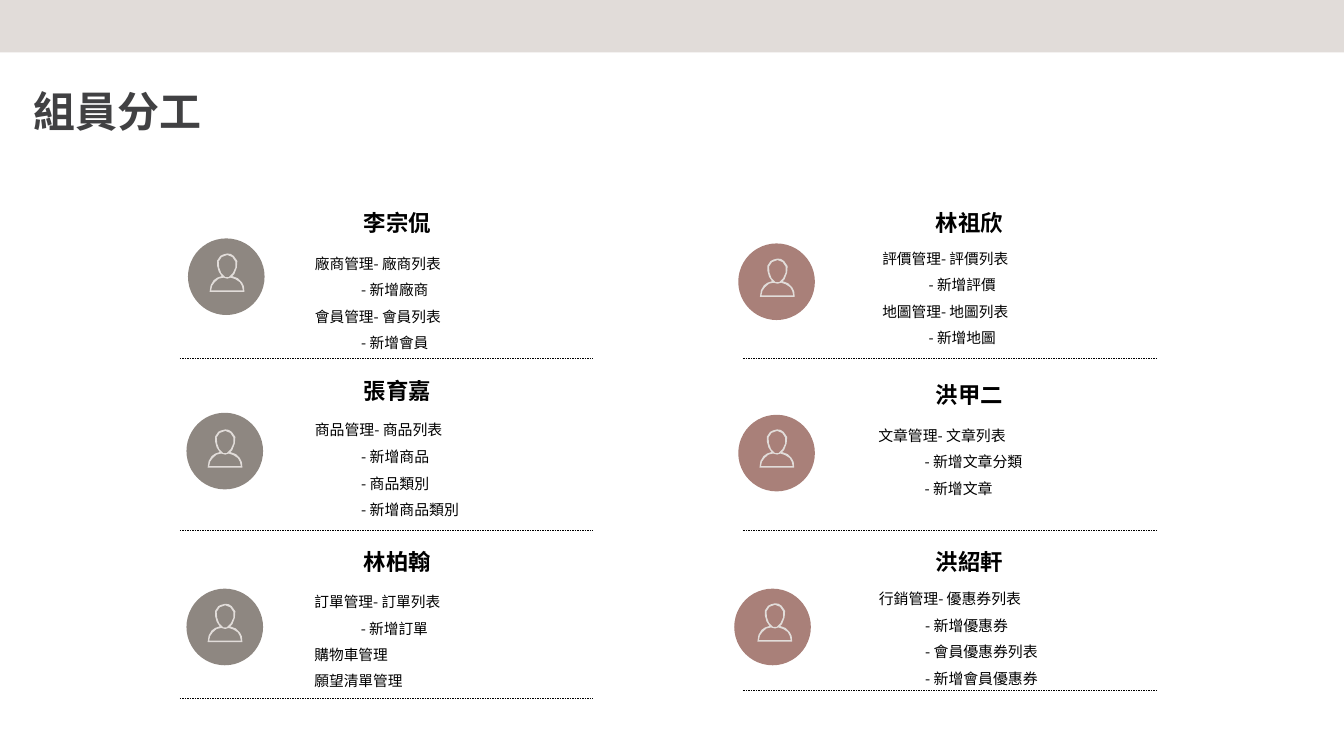
from dataclasses import dataclass

from lxml.etree import SubElement
from pptx import Presentation
from pptx.dml.color import RGBColor
from pptx.enum.dml import MSO_LINE
from pptx.enum.shapes import MSO_CONNECTOR, MSO_SHAPE
from pptx.enum.text import MSO_ANCHOR, PP_ALIGN as Align
from pptx.oxml.ns import qn
from pptx.shapes.autoshape import Shape
from pptx.slide import Slide
from pptx.text.text import _Paragraph as Paragraph
from pptx.util import Inches, Pt


@dataclass(frozen=True)
class Theme:
    band: str = "E1DCD9"
    title: str = "414143"
    text: str = "000000"
    taupe: str = "8E8781"
    rose: str = "A98079"
    title_font: str = "Arial"
    name_font: str = "Roboto Condensed"
    cjk_font: str = "Noto Sans CJK SC"
    title_size: float = 60
    name_size: float = 32
    task_size: float = 21
    large_task_size: float = 21.3
    rule_width: float = 0.5


@dataclass(frozen=True)
class Column:
    color: str
    name_left: float
    rule_left: float


@dataclass(frozen=True)
class Member:
    """Tasks that start with a dash are indented below the one before."""
    name: str
    tasks: tuple[str, ...]
    column: Column
    name_top: float
    tasks_at: tuple[float, float]
    avatar_at: tuple[float, float]
    icon_at: tuple[float, float]
    rule_top: float
    task_size: float


THEME = Theme()
LEFT = Column(THEME.taupe, 6.15, 3.57)
RIGHT = Column(THEME.rose, 17.5, 14.75)
AVATAR_SIZE = 1.52
RULE_LENGTH = 8.2
TASK_INDENT = 0.92

MEMBERS = [
    Member("李宗侃", ("廠商管理- 廠商列表", "- 新增廠商", "會員管理- 會員列表", "- 新增會員"),
           LEFT, 4.11, (6.15, 4.83), (3.73, 4.73), (4.16, 5.03), 7.1, THEME.task_size),
    Member("張育嘉", ("商品管理- 商品列表", "- 新增商品", "- 商品類別", "- 新增商品類別"),
           LEFT, 7.43, (6.15, 8.12), (3.7, 8.19), (4.12, 8.52), 10.51, THEME.large_task_size),
    Member("林柏翰", ("訂單管理- 訂單列表", "- 新增訂單", "購物車管理", "願望清單管理"),
           LEFT, 10.83, (6.14, 11.54), (3.7, 11.68), (4.12, 11.98), 13.86, THEME.task_size),
    Member("林祖欣", ("評價管理- 評價列表", "- 新增評價", "地圖管理- 地圖列表", "- 新增地圖"),
           RIGHT, 4.09, (17.41, 4.73), (14.65, 4.83), (15.08, 5.13), 7.1, THEME.task_size),
    Member("洪甲二", ("文章管理- 文章列表", "- 新增文章分類", "- 新增文章"),
           RIGHT, 7.52, (17.33, 8.23), (14.65, 8.23), (15.07, 8.52), 10.51, THEME.large_task_size),
    Member("洪紹軒", ("行銷管理- 優惠券列表", "- 新增優惠券", "- 會員優惠券列表", "- 新增會員優惠券"),
           RIGHT, 10.83, (17.34, 11.47), (14.57, 11.68), (15.03, 11.97), 13.7, THEME.large_task_size),
]

# Corners in hundredths of an inch: the silhouette, then the hollow head and shoulders.
PERSON_CONTOURS = [
    [(35, 0), (27, 2), (21, 5), (15, 14), (15, 25), (18, 36), (24, 45), (15, 48), (8, 53),
     (2, 63), (0, 76), (69, 76), (68, 65), (64, 57), (56, 49), (45, 45), (49, 41), (54, 28),
     (55, 15), (48, 5), (42, 1)],
    [(35, 3), (45, 7), (51, 16), (51, 28), (46, 39), (38, 47), (31, 47), (23, 39),
     (19, 28), (18, 16), (24, 7)],
    [(27, 48), (35, 50), (42, 48), (51, 51), (60, 57), (64, 64), (66, 73), (3, 73),
     (5, 64), (10, 57), (18, 50)],
]


def paint(shape: Shape, color: str) -> None:
    shape.shadow.inherit = False
    shape.fill.solid()
    shape.fill.fore_color.rgb = RGBColor.from_string(color)
    shape.line.fill.background()


def add_filled(slide: Slide, preset: MSO_SHAPE, left: float, top: float,
               width: float, height: float, color: str) -> None:
    shape = slide.shapes.add_shape(preset, Inches(left), Inches(top), Inches(width), Inches(height))
    paint(shape, color)


def add_person_icon(slide: Slide, left: float, top: float) -> None:
    outline, *holes = PERSON_CONTOURS
    builder = slide.shapes.build_freeform(*outline[0], scale=Inches(0.01))
    builder.add_line_segments(outline[1:])
    for hole in holes:
        builder.move_to(*hole[0])
        builder.add_line_segments(hole[1:])
    paint(builder.convert_to_shape(Inches(left), Inches(top)), THEME.band)


def add_rule(slide: Slide, left: float, top: float) -> None:
    rule = slide.shapes.add_connector(MSO_CONNECTOR.STRAIGHT, Inches(left), Inches(top),
                                      Inches(left + RULE_LENGTH), Inches(top))
    rule.line.width = Pt(THEME.rule_width)
    rule.line.color.rgb = RGBColor.from_string(THEME.text)
    rule.line.dash_style = MSO_LINE.DASH
    SubElement(rule._element.spPr, qn("a:effectLst"))


def format_runs(paragraph: Paragraph, size: float, font: str, color: str, bold: bool = False) -> None:
    for run in paragraph.runs:
        run.font.size, run.font.name, run.font.bold = Pt(size), font, bold
        run.font.color.rgb = RGBColor.from_string(color)
        SubElement(run.font._element, qn("a:ea"), typeface=THEME.cjk_font)


def add_text(slide: Slide, left: float, top: float, width: float, height: float, text: str) -> Shape:
    box = slide.shapes.add_textbox(Inches(left), Inches(top), Inches(width), Inches(height))
    box.text_frame.word_wrap = True
    box.text_frame.text = text
    return box


def add_title(slide: Slide, text: str) -> None:
    title = slide.shapes.title
    title.left, title.top, title.width, title.height = map(Inches, (0.62, 1.45, 7.64, 1.73))
    frame = title.text_frame
    frame.margin_left = frame.margin_top = frame.margin_right = frame.margin_bottom = Inches(0.04)
    frame.vertical_anchor = MSO_ANCHOR.TOP
    frame.text = text
    heading = frame.paragraphs[0]
    heading.alignment, heading.line_spacing = Align.LEFT, 1.2
    format_runs(heading, THEME.title_size, THEME.title_font, THEME.title, bold=True)


def add_member(slide: Slide, member: Member) -> None:
    add_filled(slide, MSO_SHAPE.OVAL, *member.avatar_at, AVATAR_SIZE, AVATAR_SIZE, member.column.color)
    add_person_icon(slide, *member.icon_at)
    add_rule(slide, member.column.rule_left, member.rule_top)

    name = add_text(slide, member.column.name_left, member.name_top, 3.47, 0.64, member.name)
    heading = name.text_frame.paragraphs[0]
    heading.alignment = Align.CENTER
    format_runs(heading, THEME.name_size, THEME.name_font, THEME.text, bold=True)

    tasks = add_text(slide, *member.tasks_at, 4.92, 0.55 * len(member.tasks), "\n".join(member.tasks))
    for task in tasks.text_frame.paragraphs:
        task.line_spacing = 1.5
        if task.text.startswith("-"):
            task._p.get_or_add_pPr().set("marL", str(Inches(TASK_INDENT)))
        format_runs(task, member.task_size, THEME.cjk_font, THEME.text)


def main() -> None:
    deck = Presentation()
    deck.slide_width, deck.slide_height = Inches(26.67), Inches(15)
    slide = deck.slides.add_slide(deck.slide_layouts[5])
    add_filled(slide, MSO_SHAPE.RECTANGLE, 0, -0.06, 26.67, 1.1, THEME.band)
    add_title(slide, "組員分工")
    for member in MEMBERS:
        add_member(slide, member)
    deck.save("out.pptx")


if __name__ == "__main__":
    main()
